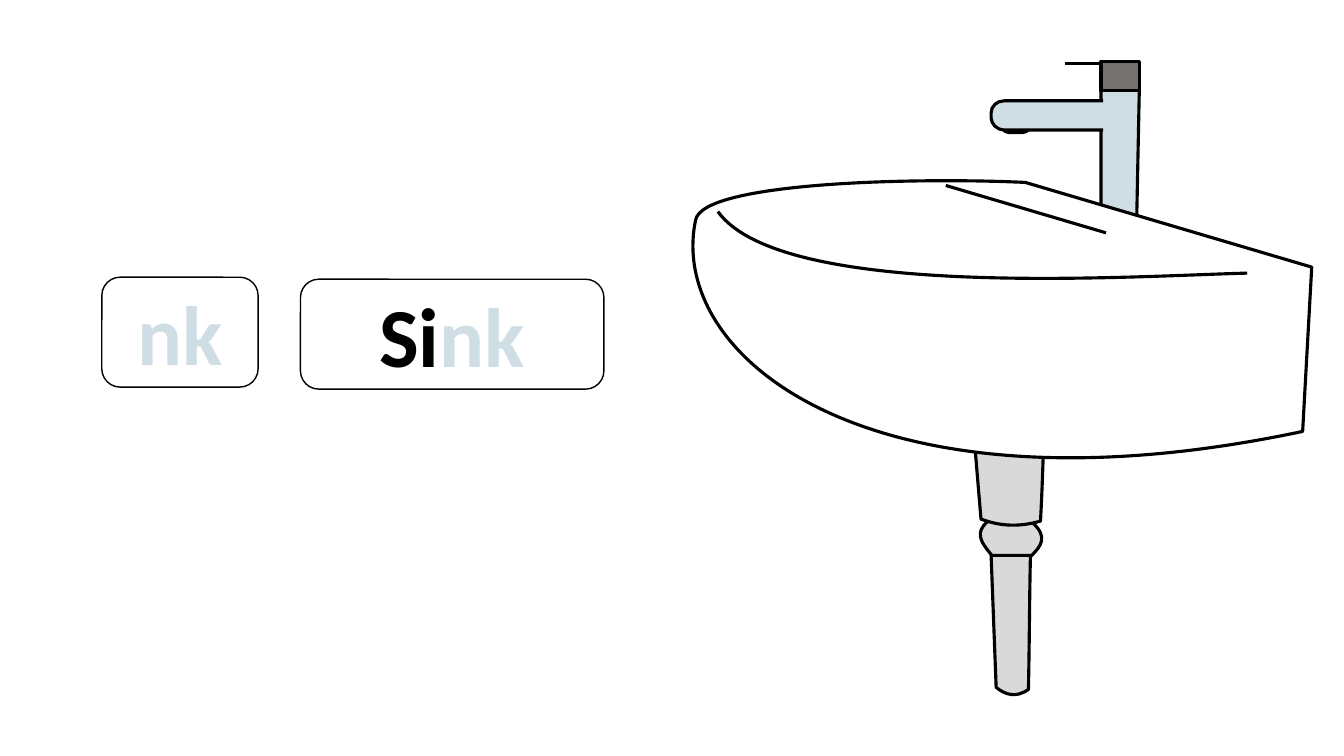
from lxml.etree import SubElement
from pptx import Presentation
from pptx.dml.color import RGBColor
from pptx.enum.shapes import MSO_CONNECTOR, MSO_SHAPE
from pptx.enum.text import MSO_ANCHOR, PP_ALIGN
from pptx.oxml.ns import qn
from pptx.util import Inches, Pt

BLACK, WHITE, CHROME = "000000", "FFFFFF", "CFDEE5"
DARK, PIPE = "767171", "D9D9D9"
FONT = {"name": "Calibri", "size": Pt(60), "bold": True}


def color(code):
    return RGBColor.from_string(code)


def paint(shape, fill, width=2.25):
    shape.shadow.inherit = False
    shape.fill.solid()
    shape.fill.fore_color.rgb = color(fill)
    shape.line.color.rgb = color(BLACK)
    shape.line.width = Pt(width)
    return shape


def block(shapes, kind, box, fill, width=2.25):
    return paint(shapes.add_shape(kind, *map(Inches, box)), fill, width)


def line(shapes, start, end):
    ends = map(Inches, start + end)
    link = shapes.add_connector(MSO_CONNECTOR.STRAIGHT, *ends)
    link.line.color.rgb = color(BLACK)
    link.line.width = Pt(2.25)
    SubElement(link._element.spPr, qn("a:effectLst"))


def outline(shapes, box, start, steps, fill, close=True):
    """Pairs are straight sides; sextets are cubic curves."""
    left, top, width, height = map(Inches, box)
    form = shapes.build_freeform(left, top, scale=1.0)
    form.add_line_segments([(left + width, top + height)], close=False)
    shape = form.convert_to_shape()

    # Trace the outline inside its box
    trace = shape._element.spPr.find(".//" + qn("a:path"))
    for node in list(trace):
        trace.remove(node)
    moves = [("a:moveTo", start)]
    moves += [("a:lnTo" if len(s) == 2 else "a:cubicBezTo", s) for s in steps]
    for tag, spots in moves:
        move = SubElement(trace, qn(tag))
        for x, y in zip(spots[::2], spots[1::2]):
            SubElement(move, qn("a:pt"), x=str(Inches(x) - left),
                       y=str(Inches(y) - top))
    if close:
        SubElement(trace, qn("a:close"))
    return paint(shape, fill)


def card(shapes, box, parts):
    shape = block(shapes, MSO_SHAPE.ROUNDED_RECTANGLE, box, WHITE, 1)
    frame = shape.text_frame
    frame.vertical_anchor = MSO_ANCHOR.MIDDLE
    para = frame.paragraphs[0]
    para.alignment = PP_ALIGN.CENTER
    for text, code in parts:
        run = para.add_run()
        run.text = text
        for key, value in FONT.items():
            setattr(run.font, key, value)
        run.font.color.rgb = color(code)


def tap(shapes):
    outlet = block(shapes, MSO_SHAPE.ROUNDED_RECTANGLE,
                   (9.99, 1.09, 0.17, 0.28), DARK)
    outlet.adjustments[0] = 0.42
    outlet.rotation = 90
    line(shapes, (10.56, 0.63), (11.3, 0.63))
    outline(shapes, (10.92, 0.88, 0.38, 1.52), (10.92, 0.88),
            [(11.3, 0.88), (11.27, 2.39), (10.92, 2.33), (10.92, 0.88)],
            CHROME)
    block(shapes, MSO_SHAPE.RECTANGLE, (10.92, 0.61, 0.38, 0.29), DARK)


def drain(shapes):
    # Joint, upper pipe, lower pipe
    outline(shapes, (9.72, 5.09, 0.61, 0.61), (9.94, 5.09),
            [(10.11, 5.09), (10.61, 5.4, 10.11, 5.5, 10.11, 5.7),
             (9.94, 5.7), (9.94, 5.5, 9.45, 5.31, 9.94, 5.09)], PIPE)
    outline(shapes, (9.64, 4.08, 0.73, 1.14), (9.64, 4.08),
            [(10.36, 4.08), (10.35, 4.44, 10.34, 4.81, 10.32, 5.17),
             (10.08, 5.24, 9.89, 5.21, 9.73, 5.15), (9.64, 4.08)], PIPE)
    outline(shapes, (9.83, 5.51, 0.39, 1.38), (9.83, 5.51),
            [(10.22, 5.51), (10.21, 5.95, 10.21, 6.4, 10.2, 6.84),
             (10.07, 6.93, 9.97, 6.89, 9.88, 6.82), (9.83, 5.51)], PIPE)


def basin(shapes):
    outline(shapes, (6.87, 1.79, 6.14, 2.75), (10.17, 1.81),
            [(13.01, 2.65), (12.92, 4.28),
             (8.63, 5.19, 6.61, 3.54, 6.9, 2.18),
             (6.98, 1.8, 9.14, 1.76, 10.17, 1.81)], WHITE)
    # Front rim and back ledge
    outline(shapes, (7.12, 2.1, 5.25, 0.66), (7.12, 2.1),
            [(7.76, 2.98, 11.19, 2.74, 12.37, 2.71)], WHITE, close=False)
    outline(shapes, (9.38, 1.84, 1.59, 0.47), (9.38, 1.84),
            [(10.97, 2.31)], WHITE, close=False)


def spout(shapes):
    outline(shapes, (9.83, 1, 1.12, 0.29), (10.94, 1.29),
            [(9.96, 1.29), (9.89, 1.29, 9.83, 1.23, 9.83, 1.17),
             (9.83, 1.12), (9.83, 1.05, 9.89, 1, 9.96, 1),
             (10.94, 1)], CHROME, close=False)


def main():
    deck = Presentation()
    deck.slide_width, deck.slide_height = Inches(13.33), Inches(7.5)
    slide = deck.slides.add_slide(deck.slide_layouts[6])
    shapes = slide.shapes

    # Sink drawing
    sink = shapes.add_group_shape()
    for draw in (tap, drain, basin):
        draw(sink.shapes)

    # Word cards
    card(shapes, (1.01, 2.75, 1.55, 1.09), [("nk", CHROME)])
    card(shapes, (2.98, 2.77, 3.01, 1.09), [("Si", BLACK), ("nk", CHROME)])

    # Spout in front of the tap
    spout(shapes)
    deck.save("out.pptx")


if __name__ == "__main__":
    main()
